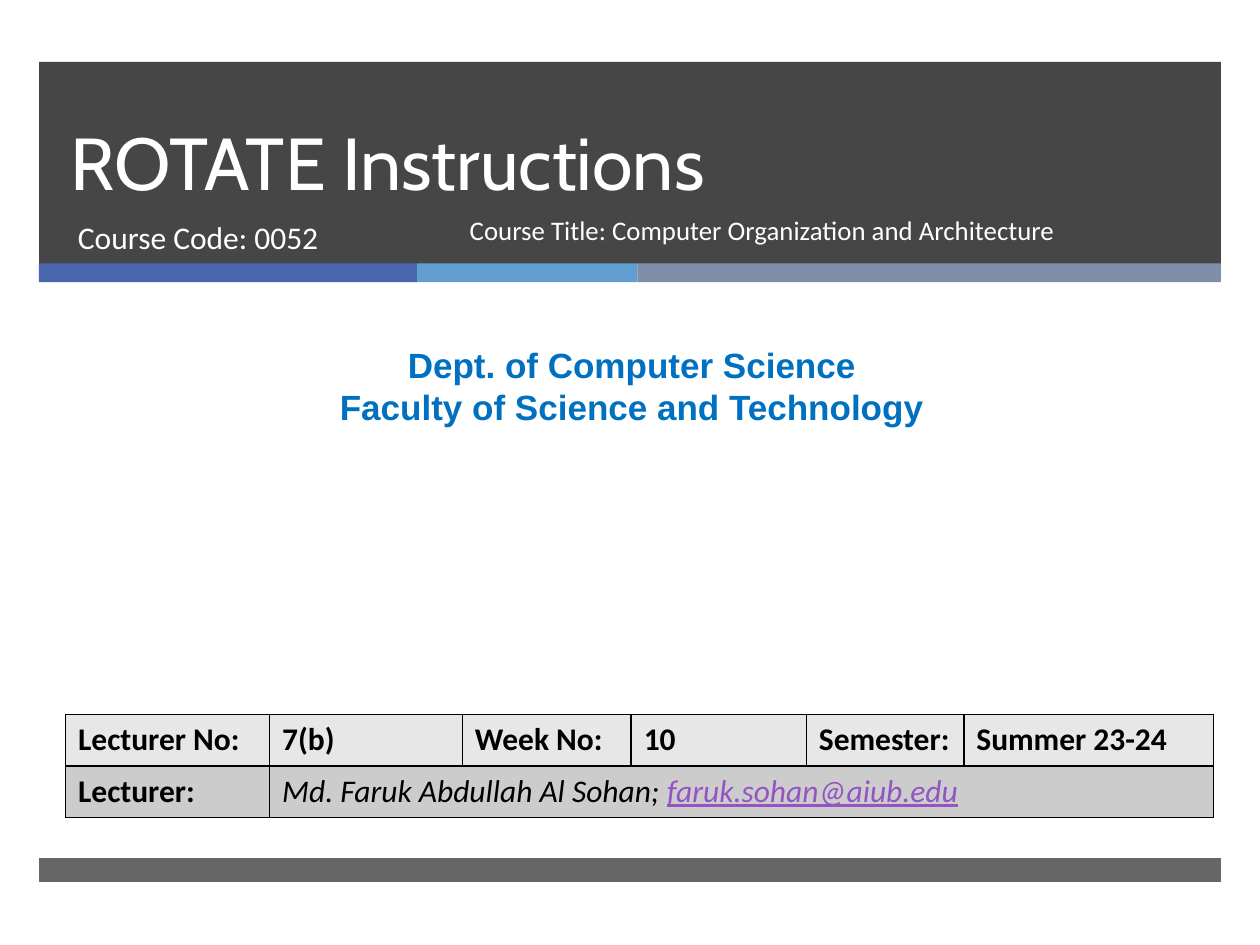
"""Build the title slide of a lecture on ROTATE instructions."""
from lxml.etree import SubElement
from pptx import Presentation
from pptx.dml.color import RGBColor
from pptx.enum.shapes import MSO_SHAPE
from pptx.enum.text import MSO_ANCHOR, PP_ALIGN
from pptx.oxml.ns import qn
from pptx.util import Inches, Pt

WHITE = RGBColor(0xFF, 0xFF, 0xFF)
BLACK = RGBColor(0, 0, 0)
DARK = RGBColor(0x26, 0x26, 0x26)
NAVY = RGBColor(0x4A, 0x66, 0xAC)
SKY = RGBColor(0x62, 0x9D, 0xD1)
SLATE = RGBColor(0x7F, 0x8F, 0xA9)
BLUE = RGBColor(0x00, 0x70, 0xC0)
PURPLE = RGBColor(0x94, 0x54, 0xC3)
PALE = RGBColor(0xE7, 0xE7, 0xE7)
GREY = RGBColor(0xCC, 0xCC, 0xCC)

LEFT, WIDTH = 0.31, 9.38
BANDS = [(0.49, 1.61, 85), (6.81, 0.19, 70)]
STRIPES = [(3, NAVY), (1.75, SKY), (4.63, SLATE)]
TEXTS = [
    ((0.46, 0.49, 8.54, 1.19), ["ROTATE Instructions"],
     dict(size=42, face="Cabin", space=Pt(46), anchor=MSO_ANCHOR.BOTTOM)),
    ((0.52, 1.68, 3.05, 0.53), ["Course Code: 0052"], dict(size=18)),
    ((0.08, 2.68, 9.87, 0.77),
     ["Dept. of Computer Science", "Faculty of Science and Technology"],
     dict(size=20, face="Arial", color=BLUE, bold=True, align=PP_ALIGN.CENTER)),
    ((3.63, 1.68, 4.96, 0.53),
     ["Course Title: Computer Organization and Architecture"],
     dict(size=15.3, space=0.9)),
]
COLS = [1.62, 1.53, 1.34, 1.39, 1.25, 1.98]
ROWS = [
    ["Lecturer No:", "7(b)", "Week No:", "10", "Semester:", "Summer 23-24"],
    ["Lecturer:", "Md. Faruk Abdullah Al Sohan; "],
]
MAIL = "faruk.sohan@aiub.edu"
HIGH = 0.41


def add_bar(slide, box, color, alpha=100):
    bar = slide.shapes.add_shape(MSO_SHAPE.RECTANGLE, *map(Inches, box))
    bar.shadow.inherit = False
    bar.fill.solid()
    bar.fill.fore_color.rgb = color
    bar.line.fill.background()
    if alpha < 100:
        tint = bar.fill._xPr.find(qn("a:solidFill"))[0]
        SubElement(tint, qn("a:alpha")).set("val", str(alpha * 1000))


def style(run, size, face="Calibri", color=WHITE, bold=False):
    font = run.font
    font.size, font.name, font.bold = Pt(size), face, bold
    font.color.rgb = color


def add_text(slide, box, lines, look):
    look = dict(look)
    space = look.pop("space", None)
    align = look.pop("align", PP_ALIGN.LEFT)
    frame = slide.shapes.add_textbox(*map(Inches, box)).text_frame
    frame.word_wrap = True
    frame.vertical_anchor = look.pop("anchor", MSO_ANCHOR.TOP)
    frame.text = "\n".join(lines)
    for para in frame.paragraphs:
        para.alignment, para.line_spacing = align, space
        style(para.runs[0], **look)


def paint(cell, color):
    props = cell._tc.get_or_add_tcPr()
    for side in ("lnL", "lnR", "lnT", "lnB"):
        edge = SubElement(props, qn("a:" + side), w=str(Pt(1)))
        fill = SubElement(edge, qn("a:solidFill"))
        SubElement(fill, qn("a:srgbClr"), val=str(BLACK))
    cell.fill.solid()
    cell.fill.fore_color.rgb = color


def add_grid(slide):
    box = (0.52, 5.67, sum(COLS), HIGH * len(ROWS))
    grid = slide.shapes.add_table(len(ROWS), len(COLS), *map(Inches, box)).table
    for col, wide in zip(grid.columns, COLS):
        col.width = Inches(wide)
    for row, words, color in zip(grid.rows, ROWS, (PALE, GREY)):
        row.height = Inches(HIGH)
        for cell in row.cells:
            paint(cell, color)
        for cell, word in zip(row.cells, words):
            cell.text_frame.text = word
            style(cell.text_frame.paragraphs[0].runs[0], 18, color=BLACK, bold=True)
    name = grid.cell(1, 1)
    name.merge(grid.cell(1, len(COLS) - 1))
    para = name.text_frame.paragraphs[0]
    mail = para.add_run()
    mail.text = MAIL
    for run, color in zip(para.runs, (BLACK, PURPLE)):
        style(run, 18, color=color)
        run.font.italic = True
    mail.font.underline = True


def main():
    deck = Presentation()
    deck.slide_width, deck.slide_height = Inches(10), Inches(7.5)
    slide = deck.slides.add_slide(deck.slide_layouts[6])
    for top, high, alpha in BANDS:
        add_bar(slide, (LEFT, top, WIDTH, high), DARK, alpha)
    left = LEFT
    for wide, color in STRIPES:
        add_bar(slide, (left, 2.09, wide, 0.15), color)
        left += wide
    for box, lines, look in TEXTS:
        add_text(slide, box, lines, look)
    add_grid(slide)
    deck.save("out.pptx")


if __name__ == "__main__":
    main()
